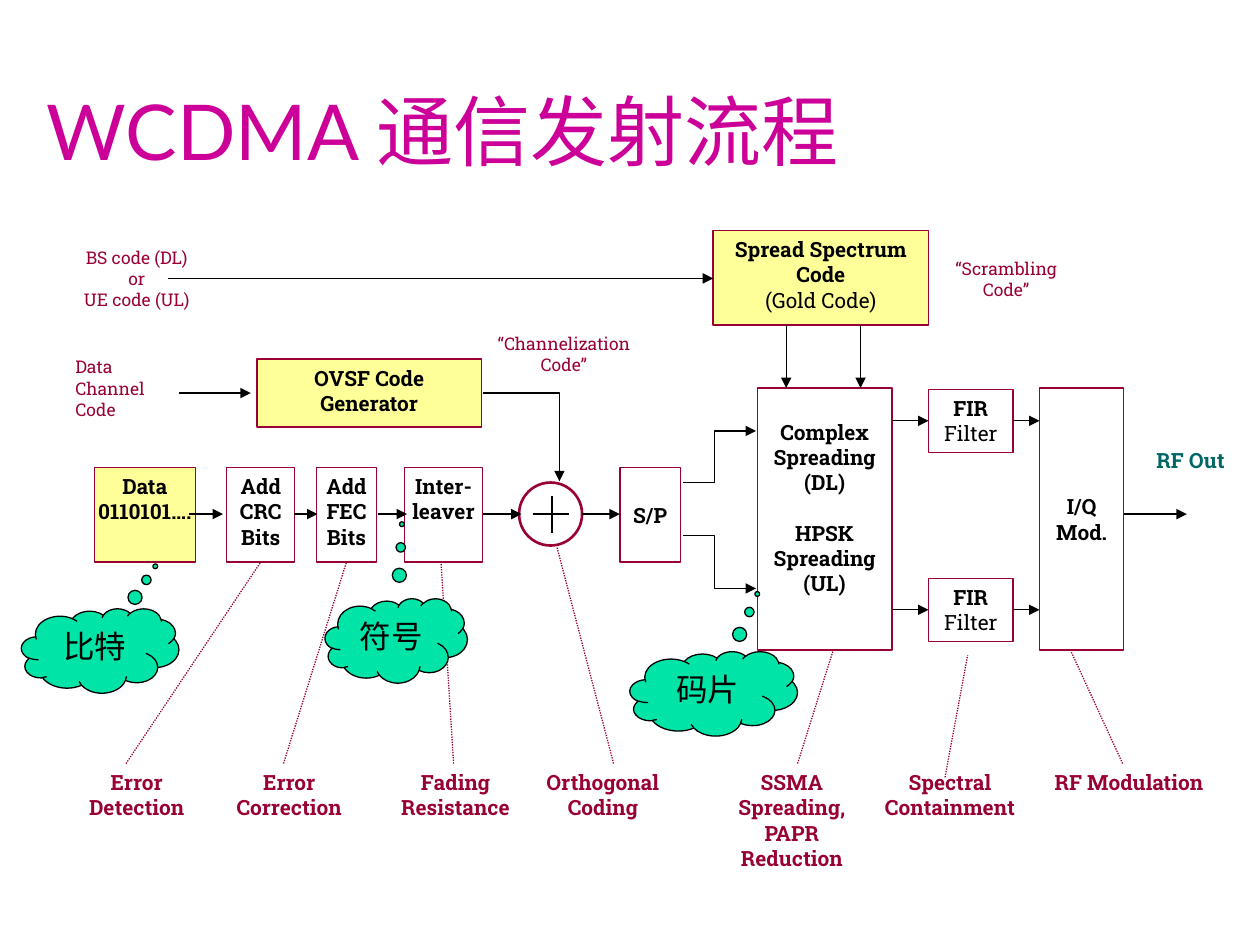
from dataclasses import dataclass

from lxml.etree import SubElement
from pptx import Presentation
from pptx.dml.color import RGBColor as RGB
from pptx.enum.dml import MSO_LINE
from pptx.enum.shapes import MSO_CONNECTOR as CONN, MSO_SHAPE as SHAPE
from pptx.enum.text import MSO_ANCHOR as ANCHOR, MSO_AUTO_SIZE as AUTO, PP_ALIGN as ALIGN
from pptx.oxml.ns import qn
from pptx.util import Inches, Pt


@dataclass(frozen=True)
class Theme:
    title: RGB = RGB(0xCC, 0x00, 0x99)
    accent: RGB = RGB(0x99, 0x00, 0x33)
    ink: RGB = RGB(0, 0, 0)
    white: RGB = RGB(255, 255, 255)
    source: RGB = RGB(0xFF, 0xFF, 0x99)
    cloud: RGB = RGB(0x00, 0xE4, 0xA8)
    output: RGB = RGB(0x00, 0x66, 0x66)
    title_font: str = "Lato"
    font: str = "Roboto Slab"
    cloud_font: str = "Arial"
    title_size: int = 44
    cloud_size: int = 18
    size: int = 12
    small: int = 10
    line: float = 0.75
    thick: float = 1.5


T = Theme()
SIGNAL_Y = 4.08
STAGE_Y, STAGE_H = 3.71, 0.75
CAPTION_Y = 6.06


def style_text(p, color, size=T.size, font=T.font, bold=False, align=ALIGN.CENTER):
    p.alignment = align
    p.font.name, p.font.size, p.font.bold = font, Pt(size), bold
    p.font.color.rgb = color


def set_frame(tf, side=0.1, top=0.05, anchor=ANCHOR.TOP):
    tf.word_wrap = True
    tf.auto_size = AUTO.NONE
    tf.vertical_anchor = anchor
    tf.margin_left = tf.margin_right = Inches(side)
    tf.margin_top, tf.margin_bottom = Inches(top), Inches(0.05)


def add_outline(shapes, kind, box, fill=None, color=T.accent, width=T.line):
    sp = shapes.add_shape(kind, *map(Inches, box))
    sp.shadow.inherit = False
    if fill is None:
        sp.fill.background()
    else:
        sp.fill.solid()
        sp.fill.fore_color.rgb = fill
    sp.line.color.rgb = color
    sp.line.width = Pt(width)
    return sp


def add_block(shapes, box, text, plain="", fill=None, **frame):
    sp = add_outline(shapes, SHAPE.RECTANGLE, box, fill)
    set_frame(sp.text_frame, **frame)
    p = sp.text_frame.paragraphs[0]
    p.text = text
    style_text(p, T.ink, bold=True)
    if plain:
        r = p.add_run()
        r.text = plain
        r.font.bold = False
    return sp


def add_label(shapes, box, text, color=T.accent, **style):
    tf = shapes.add_textbox(*map(Inches, box)).text_frame
    set_frame(tf)
    p = tf.paragraphs[0]
    p.text = text
    style_text(p, color, **style)


def add_arrowhead(line):
    SubElement(line._get_or_add_ln(), qn("a:tailEnd"), type="triangle")


def add_line(shapes, start, end, color=T.ink, width=T.line, arrow=False, dotted=False):
    cx = shapes.add_connector(CONN.STRAIGHT, *map(Inches, (*start, *end)))
    cx.line.color.rgb = color
    cx.line.width = Pt(width)
    if dotted:
        cx.line.dash_style = MSO_LINE.ROUND_DOT
    if arrow:
        add_arrowhead(cx.line)
    SubElement(cx._element.spPr, qn("a:effectLst"))


def add_bent_arrow(shapes, start, *points):
    builder = shapes.build_freeform(*map(Inches, start))
    builder.add_line_segments([tuple(map(Inches, pt)) for pt in points], close=False)
    sp = builder.convert_to_shape()
    sp.shadow.inherit = False
    sp.fill.background()
    sp.line.color.rgb = T.ink
    sp.line.width = Pt(T.line)
    add_arrowhead(sp.line)


def add_cloud(shapes, box, text, tip):
    sp = add_outline(shapes, SHAPE.CLOUD_CALLOUT, box, T.cloud, T.ink)
    sp.adjustments[0], sp.adjustments[1] = tip
    set_frame(sp.text_frame)
    p = sp.text_frame.paragraphs[0]
    p.text = text
    style_text(p, T.ink, T.cloud_size, T.cloud_font)


def add_adder(shapes):
    group = shapes.add_group_shape().shapes
    add_outline(group, SHAPE.OVAL, (4.12, 3.83, 0.5, 0.5), T.white, width=T.thick)
    add_line(group, (4.38, 3.94), (4.38, 4.23), width=T.thick)
    add_line(group, (4.23, SIGNAL_Y), (4.52, SIGNAL_Y), width=T.thick)


def add_title(slide):
    sp = slide.shapes.title
    sp.left, sp.top, sp.width, sp.height = map(Inches, (0.27, 0.23, 9.51, 1.6))
    set_frame(sp.text_frame, anchor=ANCHOR.MIDDLE)
    p = sp.text_frame.paragraphs[0]
    p.text = "WCDMA 通信发射流程"
    style_text(p, T.title, T.title_size, T.title_font, align=ALIGN.LEFT)


def add_blocks(shapes):
    stages = [
        (0.75, 0.8, "Data 0110101….", T.source, ANCHOR.TOP),
        (1.8, 0.54, "Add CRC Bits", None, ANCHOR.TOP),
        (2.51, 0.48, "Add FEC Bits", None, ANCHOR.TOP),
        (3.21, 0.62, "Inter-leaver", None, ANCHOR.TOP),
        (4.92, 0.48, "S/P", None, ANCHOR.MIDDLE),
    ]
    for x, w, text, fill, anchor in stages:
        add_block(shapes, (x, STAGE_Y, w, STAGE_H), text, fill=fill, side=0.02, anchor=anchor)
    add_adder(shapes)
    add_block(shapes, (2.04, 2.85, 1.78, 0.54), "OVSF Code\nGenerator", fill=T.source)
    add_block(shapes, (5.66, 1.83, 1.71, 0.75), "Spread Spectrum Code\n", "(Gold Code)", T.source)
    sp = add_block(shapes, (6.01, 3.08, 1.07, 2.08), "Complex\nSpreading\n(DL)", top=0.25)
    p = sp.text_frame.add_paragraph()
    p.text = "HPSK\nSpreading\n(UL)"
    p.space_before = Pt(14.4)
    style_text(p, T.ink, bold=True)
    for y in (3.09, 4.59):
        add_block(shapes, (7.37, y, 0.67, 0.5), "FIR", " Filter", side=0.02)
    add_block(shapes, (8.25, 3.08, 0.67, 2.08), "I/Q Mod.", anchor=ANCHOR.MIDDLE)


def add_arrows(shapes):
    for x1, x2 in ((1.5, 1.77), (2.33, 2.52), (3, 3.23), (3.83, 4.14), (4.62, 4.92), (8.92, 9.42)):
        add_line(shapes, (x1, SIGNAL_Y), (x2, SIGNAL_Y), arrow=True)
    for y in (3.34, 4.84):
        for x1, x2 in ((7.08, 7.37), (8.04, 8.25)):
            add_line(shapes, (x1, y), (x2, y), arrow=True)
    for x in (6.24, 6.83):
        add_line(shapes, (x, 2.58), (x, 3.08), arrow=True)
    add_line(shapes, (1.33, 2.21), (5.66, 2.21), arrow=True)
    add_line(shapes, (1.42, 3.12), (1.99, 3.12), arrow=True)
    add_bent_arrow(shapes, (3.83, 3.12), (4.44, 3.12), (4.44, 3.82))
    for y1, y2 in ((3.83, 3.42), (4.25, 4.67)):
        add_bent_arrow(shapes, (5.42, y1), (5.67, y1), (5.67, y2), (6, y2))


def add_labels(shapes):
    add_label(shapes, (3.82, 2.59, 1.31, 0.42), "“Channelization\nCode”", size=T.small)
    add_label(shapes, (0.5, 1.91, 1.17, 0.6), "BS code (DL) or\nUE code (UL)", size=T.small)
    add_label(shapes, (0.5, 2.78, 1.01, 0.69), "Data Channel Code", size=T.small, align=ALIGN.LEFT)
    add_label(shapes, (7.33, 2, 1.31, 0.42), "“Scrambling Code”", size=T.small)
    add_label(shapes, (9.08, 3.5, 0.75, 0.5), "RF Out", T.output, bold=True, align=ALIGN.LEFT)


def add_captions(shapes):
    captions = [
        (0.5, 1.17, 0.5, "Error Detection", (1, CAPTION_Y), (2.07, 4.46)),
        (1.67, 1.25, 0.5, "Error Correction", (2.25, CAPTION_Y), (2.75, 4.46)),
        (2.99, 1.25, 0.5, "Fading\nResistance", (3.6, CAPTION_Y), (3.5, 4.46)),
        (4.12, 1.33, 0.5, "Orthogonal Coding", (4.87, CAPTION_Y), (4.42, 4.34)),
        (5.62, 1.33, 0.9, "SSMA Spreading, PAPR\nReduction", (6.33, CAPTION_Y), (6.61, 5.17)),
        (6.83, 1.42, 0.5, "Spectral\nContainment", (7.5, 6.17), (7.68, 5.2)),
        (8.25, 1.42, 0.3, "RF Modulation", (8.91, CAPTION_Y), (8.5, 5.17)),
    ]
    for x, w, h, text, start, end in captions:
        add_label(shapes, (x, CAPTION_Y, w, h), text, bold=True)
        add_line(shapes, start, end, T.accent, dotted=True)


def main():
    prs = Presentation()
    prs.slide_width, prs.slide_height = Inches(10), Inches(7.5)
    slide = prs.slides.add_slide(prs.slide_layouts[5])
    add_title(slide)
    for add_part in (add_blocks, add_arrows, add_labels, add_captions):
        add_part(slide.shapes)
    add_cloud(slide.shapes, (0.17, 4.83, 1.25, 0.67), "比特", (0.35, -1))
    add_cloud(slide.shapes, (2.58, 4.75, 1.13, 0.67), "符号", (0.04, -1.38))
    add_cloud(slide.shapes, (5, 5.17, 1.33, 0.67), "码片", (0.26, -1.18))
    prs.save("out.pptx")


if __name__ == "__main__":
    main()
